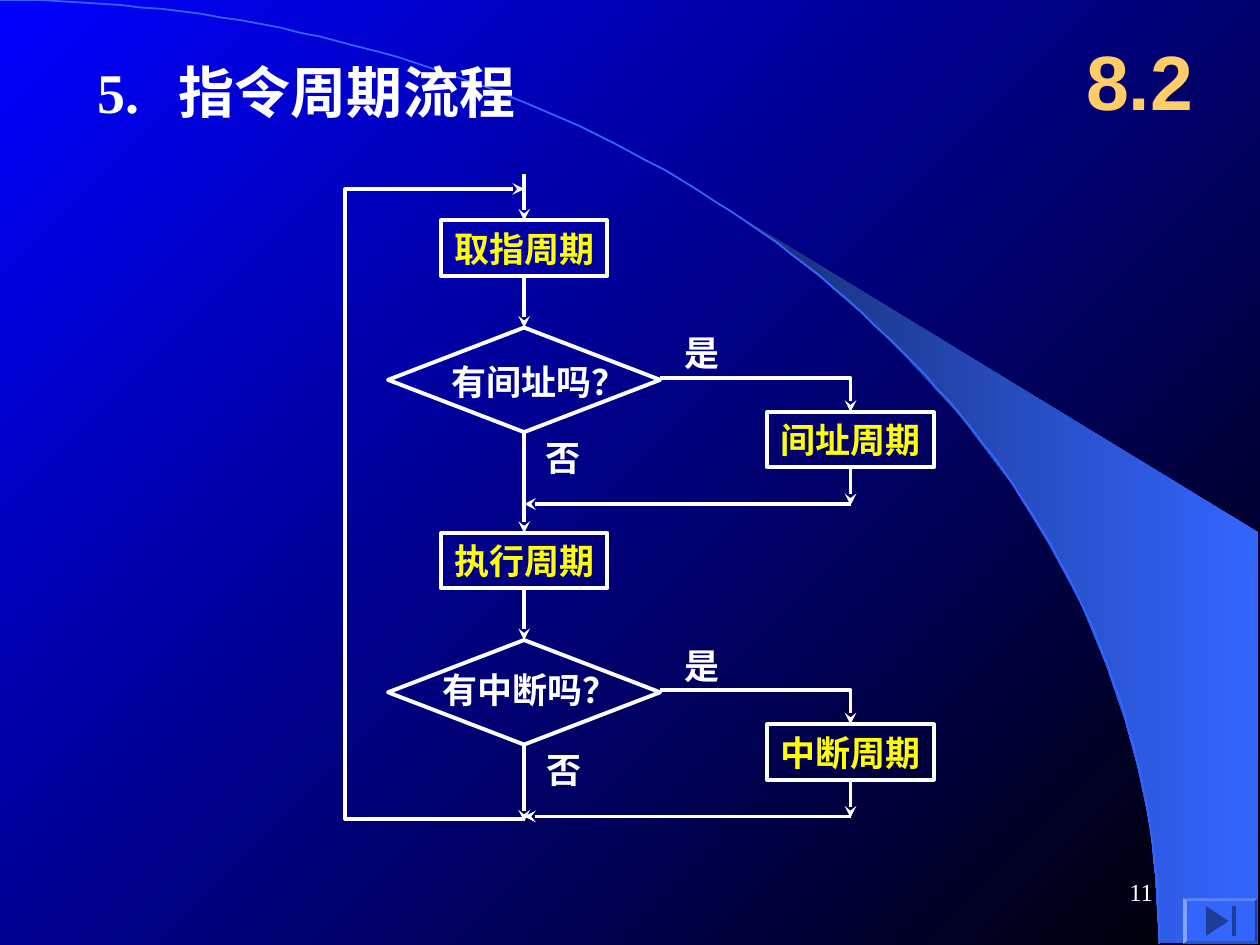
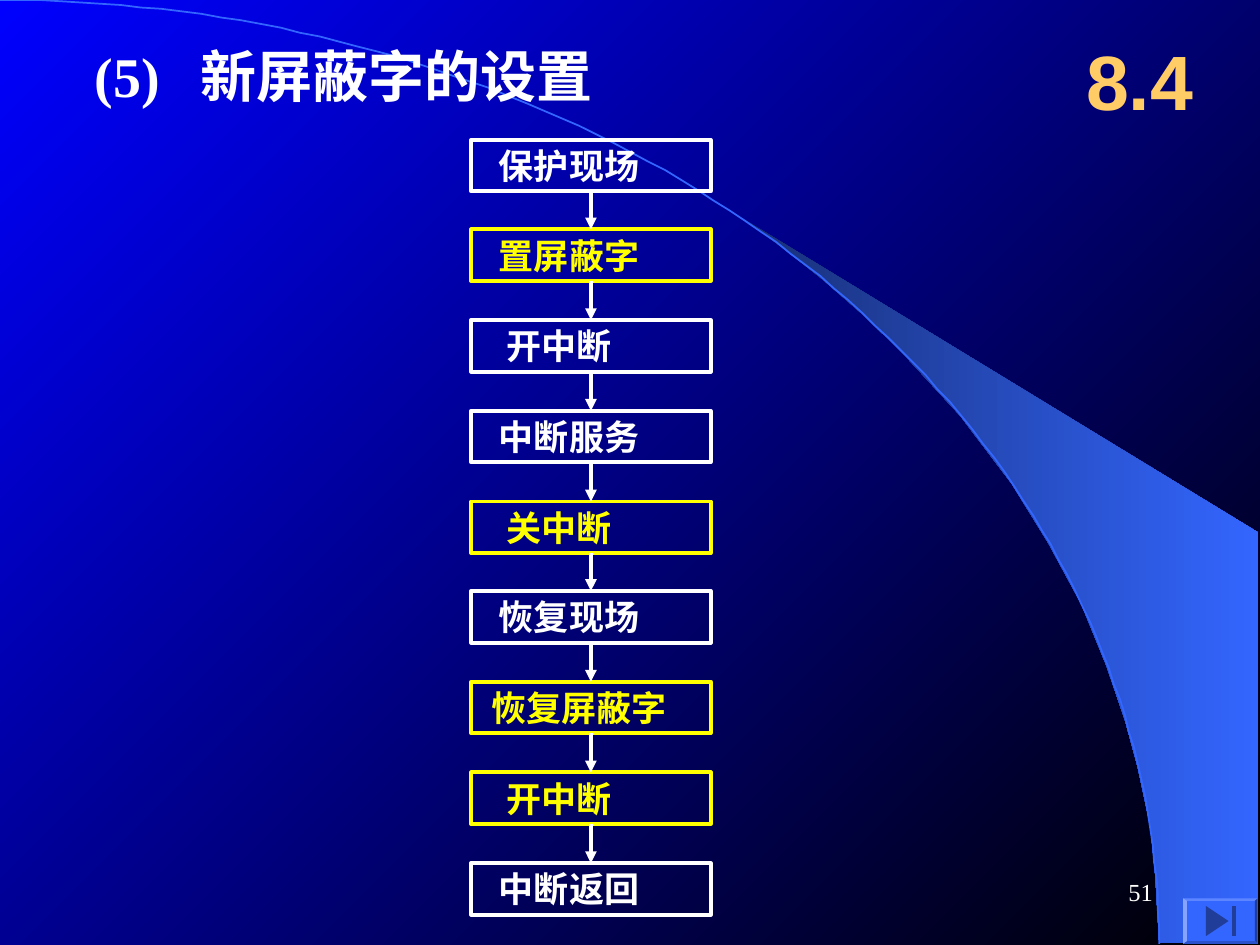
from dataclasses import dataclass
from math import cos, pi, sin
from typing import Optional

from lxml.etree import SubElement as Sub
from pptx import Presentation
from pptx.dml.color import RGBColor as Rgb
from pptx.enum.shapes import MSO_CONNECTOR as Link, MSO_SHAPE as Kind
from pptx.enum.text import MSO_ANCHOR as Anchor, PP_ALIGN as Align
from pptx.oxml.ns import qn
from pptx.util import Emu, Pt

UNIT = 9144
WIDE, HIGH = 1000, 750
SERIF, SANS, HAN = "Times New Roman", "Arial", "Noto Sans CJK SC"
TOP, LOW = 0, 2
HUES = {
    "white": "FFFFFF", "yellow": "FFFF00", "gold": "FFCC66",
    "blue": "0000FF", "black": "000000", "navy": "182F76",
    "azure": "3366FF", "light": "85A3FF", "pale": "5C85FF",
    "dim": "2952CC", "dark": "1F3D99",
}
SWOOSH = [
    (920, 748), (999, 749), (999, 423), (589, 173), (624, 199), (653, 222),
    (685, 250), (716, 280), (762, 330), (803, 384), (832, 431), (858, 479),
    (878, 528), (893, 572), (903, 609), (913, 656), (917, 696),
]
BUTTON = [
    ("azure", [(939, 713), (998, 713), (998, 749), (939, 749)]),
    ("pale", [(939, 713), (998, 713), (996, 715), (942, 715)]),
    ("dark", [(998, 713), (998, 749), (996, 747), (996, 715)]),
    ("dim", [(998, 749), (939, 749), (942, 747), (996, 747)]),
    ("light", [(939, 749), (939, 713), (942, 715), (942, 747)]),
    ("dark", [(975, 731), (957, 743), (957, 719)]),
    ("dark", [(978, 719), (978, 743), (981, 743), (981, 719)]),
]


@dataclass(frozen=True)
class Box:
    x: int
    y: int
    w: int
    h: int


@dataclass(frozen=True)
class Style:
    size: int = 20
    hue: str = "white"
    font: str = SERIF
    bold: bool = True
    align: Align = Align.LEFT


@dataclass(frozen=True)
class Title:
    mark: str
    text: str
    box: Box
    tab: int


@dataclass(frozen=True)
class Step:
    text: str
    hue: str = "white"


def px(n: float) -> Emu:
    return Emu(round(n * UNIT))


def tint(name: str) -> Rgb:
    return Rgb.from_string(HUES[name])


def blend(fill, first: str, last: str, angle: int) -> None:
    fill.gradient()
    fill.gradient_angle = angle
    for stop, name, place in zip(fill.gradient_stops, (first, last), (0, 1)):
        stop.color.rgb = tint(name)
        stop.position = place


def write(frame, runs: list[str], style: Style, inset: int = 0,
          tab: Optional[int] = None) -> None:
    frame.word_wrap = True
    frame.vertical_anchor = Anchor.MIDDLE
    frame.margin_left = px(inset)
    frame.margin_right = frame.margin_top = frame.margin_bottom = 0
    para = frame.paragraphs[0]
    para.alignment = style.align
    if tab:
        stops = Sub(para._p.get_or_add_pPr(), qn("a:tabLst"))
        Sub(stops, qn("a:tab"), pos=str(px(tab)), algn="l")
    for text in runs:
        run = para.add_run()
        run.text = text
        font = run.font
        font.size, font.bold = Pt(style.size), style.bold
        font.color.rgb = tint(style.hue)
        font.name = style.font
        Sub(run._r.get_or_add_rPr(), qn("a:ea"), typeface=HAN)


def label(slide, box: Box, runs: list[str], style: Style,
          tab: Optional[int] = None) -> None:
    shape = slide.shapes.add_textbox(px(box.x), px(box.y), px(box.w), px(box.h))
    write(shape.text_frame, runs, style, tab=tab)


def stroke(line, hue: str = "white", width: float = 2.25) -> None:
    line.color.rgb = tint(hue)
    line.width = Pt(width)


def head(shape, kind: str) -> None:
    Sub(shape.element.spPr.find(qn("a:ln")), qn("a:tailEnd"), type=kind)


def frame(slide, kind: Kind, box: Box, hue: str = "white"):
    shape = slide.shapes.add_shape(kind, px(box.x), px(box.y), px(box.w), px(box.h))
    shape.shadow.inherit = False
    shape.fill.background()
    stroke(shape.line, hue)
    return shape


def trace(slide, spots: list, close: bool = False):
    pen = slide.shapes.build_freeform(*spots[0], scale=UNIT)
    pen.add_line_segments(spots[1:], close=close)
    shape = pen.convert_to_shape()
    shape.shadow.inherit = False
    return shape


def patch(slide, spots: list):
    shape = trace(slide, spots, close=True)
    shape.line.fill.background()
    return shape


def bend(slide, spots: list) -> None:
    shape = trace(slide, spots)
    shape.fill.background()
    stroke(shape.line)
    head(shape, "stealth")


def arrow(slide, start: tuple[int, int], end: tuple[int, int],
          above=None, below=None, kind: str = "stealth") -> None:
    line = slide.shapes.add_connector(Link.STRAIGHT, *map(px, start + end))
    if above is not None:
        line.begin_connect(above, LOW)
    if below is not None:
        line.end_connect(below, TOP)
    stroke(line.line)
    head(line, kind)
    Sub(line.element.spPr, qn("a:effectLst"))


def base(deck, title: Title, part: str, page: str):
    slide = deck.slides.add_slide(deck.slide_layouts[6])
    blend(slide.background.fill, "blue", "black", 315)
    blend(patch(slide, SWOOSH).fill, "navy", "azure", 0)
    turns = [pi / 2 * n / 90 for n in range(91)]
    arc = trace(slide, [(920 * sin(t), 749 * (1 - cos(t))) for t in turns])
    arc.fill.background()
    stroke(arc.line, "azure", 1)
    label(slide, title.box, [title.mark, "\t" + title.text], Style(32), title.tab)
    label(slide, Box(842, 17, 125, 92), [part],
          Style(44, "gold", SANS, align=Align.CENTER))
    label(slide, Box(717, 683, 198, 50), [page],
          Style(14, bold=False, align=Align.RIGHT))
    for hue, spots in BUTTON:
        fill = patch(slide, spots).fill
        fill.solid()
        fill.fore_color.rgb = tint(hue)
    return slide


def cycle(slide, x: int, y: int, text: str):
    shape = frame(slide, Kind.RECTANGLE, Box(x - 66, y, 132, 44))
    write(shape.text_frame, [text], Style(hue="yellow", align=Align.CENTER))
    return shape


def flow(deck) -> None:
    title = Title("5.", "指令周期流程", Box(77, 42, 615, 60), 65)
    slide = base(deck, title, "8.2", "11")
    mid, side, drop = 416, 675, 248
    fetch = cycle(slide, mid, 175, "取指周期")
    run = cycle(slide, mid, 423, "执行周期")
    arrow(slide, (mid, 138), (mid, 175), below=fetch)
    rows = [
        ("有间址吗？", 358, 281, "间址周期", fetch, run),
        ("有中断吗？", 351, 525, "中断周期", run, None),
    ]
    for n, (ask, left, top, task, above, below) in enumerate(rows):
        y = 260 + n * drop
        test = frame(slide, Kind.DIAMOND, Box(mid - 108, y, 216, 83))
        label(slide, Box(left, top, 150, 44), [ask], Style())
        arrow(slide, (mid, y - 41), (mid, y), above, test)
        work = cycle(slide, side, y + 67, task)
        bend(slide, [(524, y + 40), (side, y + 40), (side, y + 67)])
        arrow(slide, (side, y + 111), (side, y + 141), work)
        arrow(slide, (side, y + 140), (mid, y + 140))
        arrow(slide, (mid, y + 83), (mid, y + 144), test, below)
        label(slide, Box(543, y - 2, 40, 44), ["是"], Style())
        label(slide, Box(433 + n, y + 81, 40, 44), ["否"], Style())
    bend(slide, [(mid, 650), (274, 650), (274, 150), (mid, 150)])


def mask(deck) -> None:
    title = Title("(5)", "新屏蔽字的设置", Box(75, 36, 780, 47), 84)
    slide = base(deck, title, "8.4", "51")
    steps = [
        Step("保护现场"), Step("置屏蔽字", "yellow"), Step("开中断"),
        Step("中断服务"), Step("关中断", "yellow"), Step("恢复现场"),
        Step("恢复屏蔽字", "yellow"), Step("开中断", "yellow"), Step("中断返回"),
    ]
    boxes = []
    for n, step in enumerate(steps):
        spot = Box(374, 111 + n * 574 // 8, 190, 41)
        shape = frame(slide, Kind.RECTANGLE, spot, step.hue)
        write(shape.text_frame, [step.text], Style(hue=step.hue, font=HAN),
              10 + 6 * (6 - len(step.text)))
        boxes.append(shape)
    for above, below in zip(boxes, boxes[1:]):
        arrow(slide, (469, 152), (469, 182), above, below, "triangle")


def main() -> None:
    deck = Presentation()
    deck.slide_width, deck.slide_height = px(WIDE), px(HIGH)
    flow(deck)
    mask(deck)
    deck.save("out.pptx")


if __name__ == "__main__":
    main()
